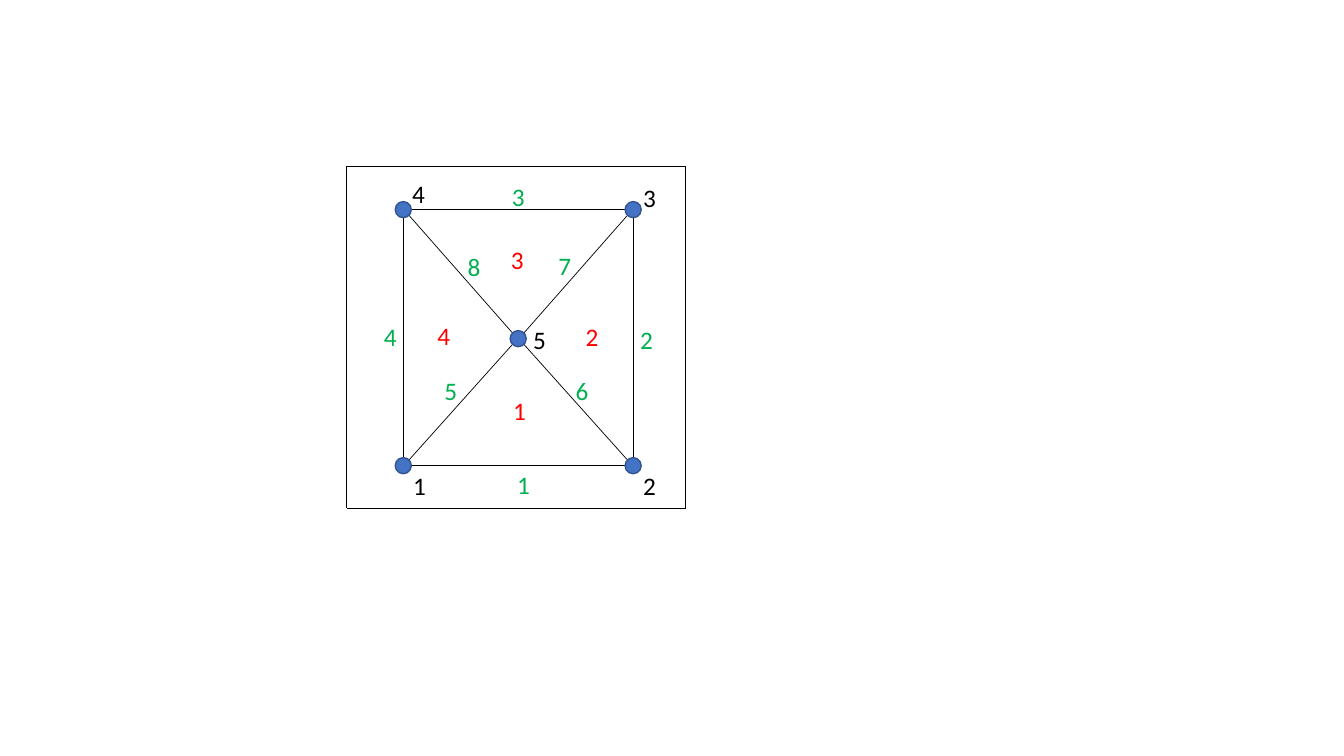
from dataclasses import dataclass
from math import hypot, sqrt

from lxml.etree import SubElement
from pptx import Presentation
from pptx.dml.color import RGBColor
from pptx.enum.shapes import MSO_CONNECTOR, MSO_SHAPE
from pptx.enum.text import MSO_AUTO_SIZE
from pptx.oxml.ns import qn
from pptx.slide import Slide
from pptx.util import Inches, Pt

BLACK = RGBColor(0x00, 0x00, 0x00)
RED = RGBColor(0xFF, 0x00, 0x00)
GREEN = RGBColor(0x00, 0xB0, 0x50)
NODE_FILL = RGBColor(0x44, 0x72, 0xC4)
NODE_LINE = RGBColor(0x32, 0x54, 0x91)

RADIUS = 0.08
LABEL_WIDTH, LABEL_HEIGHT = 0.33, 0.4


@dataclass(frozen=True)
class Point:
    x: float
    y: float


@dataclass(frozen=True)
class Label:
    text: str
    left: float
    top: float


NODES = {
    1: Point(4, 4.62),
    2: Point(6.28, 4.62),
    3: Point(6.28, 2.08),
    4: Point(4, 2.08),
    5: Point(5.14, 3.36),
}
EDGES = [(1, 2), (2, 3), (4, 3), (4, 1), (1, 5), (5, 2), (3, 5), (4, 5)]
FRAME = [Point(3.44, 1.65), Point(6.8, 1.65), Point(6.8, 5.04), Point(3.44, 5.04)]

LABELS = {
    BLACK: [
        Label("1", 4, 4.62),
        Label("2", 6.28, 4.62),
        Label("3", 6.28, 1.76),
        Label("4", 3.99, 1.72),
        Label("5", 5.19, 3.17),
    ],
    RED: [
        Label("1", 4.99, 3.87),
        Label("2", 5.71, 3.14),
        Label("3", 4.97, 2.37),
        Label("4", 4.24, 3.13),
    ],
    GREEN: [
        Label("1", 5.03, 4.61),
        Label("2", 6.25, 3.17),
        Label("3", 4.98, 1.75),
        Label("4", 3.71, 3.14),
        Label("5", 4.31, 3.67),
        Label("6", 5.61, 3.67),
        Label("7", 5.44, 2.43),
        Label("8", 4.54, 2.44),
    ],
}


def rim_point(center: Point, toward: Point) -> Point:
    dx, dy = toward.x - center.x, toward.y - center.y
    if dx and dy:
        reach = RADIUS / sqrt(2)
        return Point(center.x + reach * dx / abs(dx), center.y + reach * dy / abs(dy))
    length = hypot(dx, dy)
    return Point(center.x + RADIUS * dx / length, center.y + RADIUS * dy / length)


def draw_line(page: Slide, start: Point, end: Point) -> None:
    line = page.shapes.add_connector(
        MSO_CONNECTOR.STRAIGHT,
        Inches(start.x), Inches(start.y), Inches(end.x), Inches(end.y),
    )
    line.line.color.rgb = BLACK
    line.line.width = Pt(0.5)
    SubElement(line._element.spPr, qn("a:effectLst"))


def draw_node(page: Slide, center: Point) -> None:
    node = page.shapes.add_shape(
        MSO_SHAPE.OVAL,
        Inches(center.x - RADIUS), Inches(center.y - RADIUS),
        Inches(2 * RADIUS), Inches(2 * RADIUS),
    )
    node.shadow.inherit = False
    node.fill.solid()
    node.fill.fore_color.rgb = NODE_FILL
    node.line.color.rgb = NODE_LINE
    node.line.width = Pt(1)


def draw_text(page: Slide, text: str, *, left: float, top: float,
              color: RGBColor, size: float = 18, font: str = "Calibri") -> None:
    box = page.shapes.add_textbox(
        Inches(left), Inches(top), Inches(LABEL_WIDTH), Inches(LABEL_HEIGHT)
    )
    box.text_frame.word_wrap = False
    box.text_frame.auto_size = MSO_AUTO_SIZE.SHAPE_TO_FIT_TEXT
    span = box.text_frame.paragraphs[0].add_run()
    span.text = text
    span.font.name = font
    span.font.size = Pt(size)
    span.font.color.rgb = color


def main() -> None:
    deck = Presentation()
    deck.slide_width = Inches(13.33)
    deck.slide_height = Inches(7.5)
    page = deck.slides.add_slide(deck.slide_layouts[6])

    for start, end in zip(FRAME, FRAME[1:] + FRAME[:1]):
        draw_line(page, start, end)
    for first, second in EDGES:
        start, end = NODES[first], NODES[second]
        draw_line(page, rim_point(start, end), rim_point(end, start))
    for center in NODES.values():
        draw_node(page, center)
    for color, labels in LABELS.items():
        for label in labels:
            draw_text(page, label.text, left=label.left, top=label.top, color=color)

    deck.save("out.pptx")


if __name__ == "__main__":
    main()
